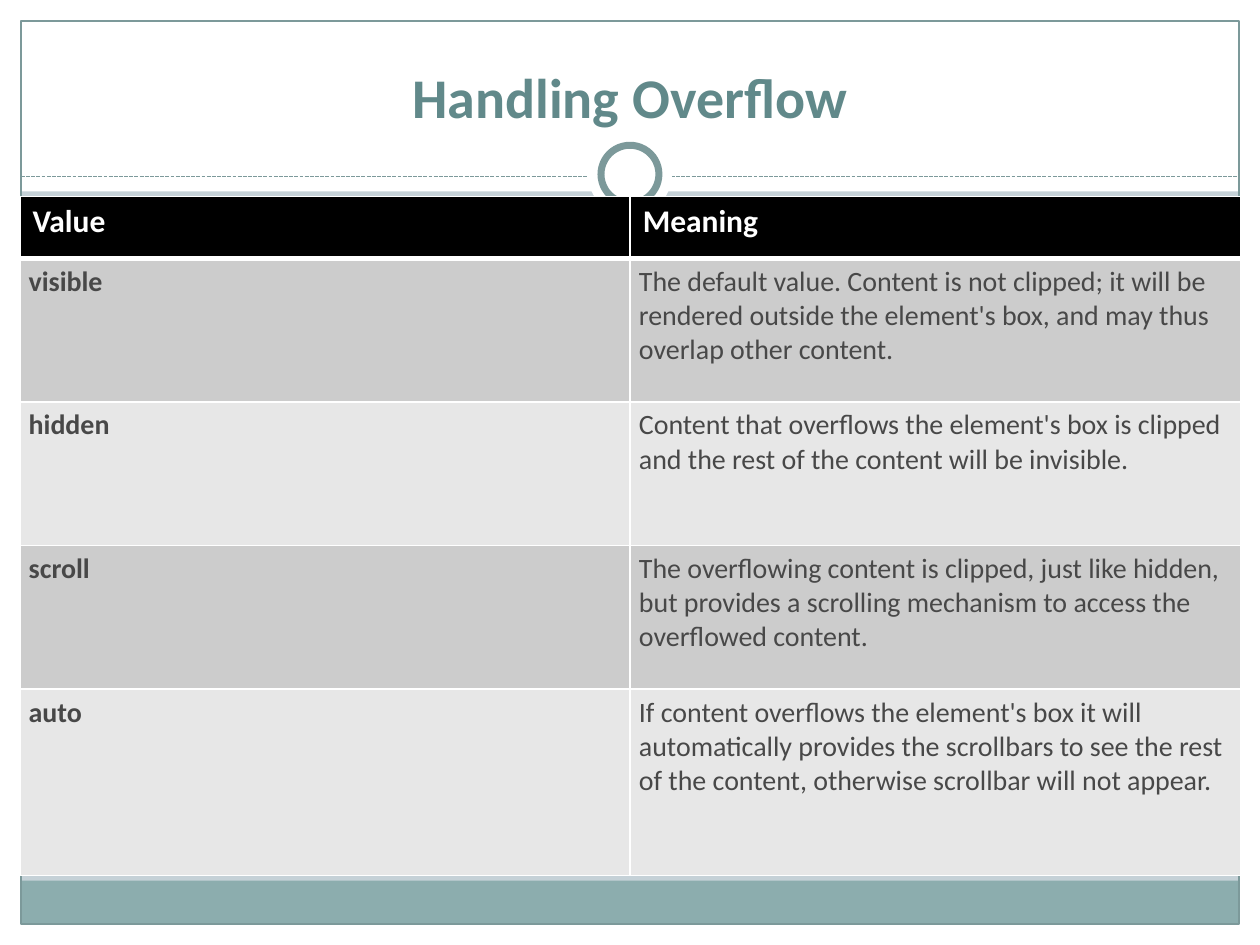
from lxml.etree import SubElement
from pptx import Presentation
from pptx.dml.color import RGBColor
from pptx.enum.dml import MSO_LINE
from pptx.enum.shapes import MSO_CONNECTOR, MSO_SHAPE
from pptx.enum.text import MSO_ANCHOR, MSO_AUTO_SIZE, PP_ALIGN
from pptx.oxml.ns import qn
from pptx.util import Inches, Pt

WHITE = RGBColor(0xFF, 0xFF, 0xFF)
BLACK = RGBColor(0x00, 0x00, 0x00)
PALE_BLUE = RGBColor(0xC5, 0xD1, 0xD7)
TEAL = RGBColor(0x8C, 0xAD, 0xAE)
LINE_TEAL = RGBColor(0x7C, 0x99, 0x9A)
TITLE_TEAL = RGBColor(0x61, 0x89, 0x8A)
TEXT_GREY = RGBColor(0x48, 0x48, 0x48)
BANDS = (RGBColor(0xCC, 0xCC, 0xCC), RGBColor(0xE7, 0xE7, 0xE7))

COLS, ROWS = 60, 45  # grid over the slide; the frame is one cell in

TABLE = [
    ("Value", "Meaning"),
    ("visible", "The default value. Content is not clipped; it will be rendered "
     "outside the element's box, and may thus overlap other content."),
    ("hidden", "Content that overflows the element's box is clipped and the rest "
     "of the content will be invisible."),
    ("scroll", "The overflowing content is clipped, just like hidden, but provides "
     "a scrolling mechanism to access the overflowed content."),
    ("auto", "If content overflows the element's box it will automatically provides "
     "the scrollbars to see the rest of the content, otherwise scrollbar will not "
     "appear."),
]


class SlideBuilder:
    font = "Calibri"

    def __init__(self, prs):
        self.cell_w = prs.slide_width / COLS
        self.cell_h = prs.slide_height / ROWS
        self.slide = prs.slides.add_slide(prs.slide_layouts[5])
        self.shapes = self.slide.shapes

    def x(self, cols):
        return round(cols * self.cell_w)

    def y(self, rows):
        return round(rows * self.cell_h)

    def box(self, left, top, width, height):
        return self.x(left), self.y(top), self.x(width), self.y(height)

    def background(self, color):
        fill = self.slide.background.fill
        fill.solid()
        fill.fore_color.rgb = color

    def style(self, r, size, color, bold):
        r.font.name, r.font.size = self.font, Pt(size)
        r.font.color.rgb, r.font.bold = color, bold

    def shape(self, kind, *box, fill=None, line=None, weight=0.75):
        s = self.shapes.add_shape(kind, *self.box(*box))
        s.shadow.inherit = False
        if fill is None:
            s.fill.background()
        else:
            s.fill.solid()
            s.fill.fore_color.rgb = fill
        if line is None:
            s.line.fill.background()
        else:
            s.line.color.rgb, s.line.width = line, Pt(weight)

    def rect(self, *box, **look):
        self.shape(MSO_SHAPE.RECTANGLE, *box, **look)

    def circle(self, cx, cy, size, **look):
        self.shape(MSO_SHAPE.OVAL, cx - size / 2, cy - size / 2, size, size, **look)

    def dashed_rule(self, left, right, row, color):
        s = self.shapes.add_connector(MSO_CONNECTOR.STRAIGHT, self.x(left),
                                      self.y(row), self.x(right), self.y(row))
        s.line.color.rgb, s.line.width = color, Pt(0.75)
        s.line.dash_style = MSO_LINE.SQUARE_DOT
        SubElement(s.element.spPr, qn("a:effectLst"))

    def title(self, text, *box):
        s = self.shapes.title
        s.left, s.top, s.width, s.height = self.box(*box)
        self.shapes.element.append(s.element)  # in front of the header panel
        tf = s.text_frame
        tf.text = text
        tf.auto_size = MSO_AUTO_SIZE.NONE
        tf.vertical_anchor = MSO_ANCHOR.BOTTOM
        p = tf.paragraphs[0]
        p.alignment = PP_ALIGN.CENTER
        self.style(p.runs[0], 32, TITLE_TEAL, True)

    def borders(self, cell, top, bottom):
        tc_pr = cell._tc.get_or_add_tcPr()
        for side, weight in (("L", 1), ("R", 1), ("T", top), ("B", bottom)):
            ln = SubElement(tc_pr, qn(f"a:ln{side}"), w=str(Pt(weight)))
            fill = SubElement(ln, qn("a:solidFill"))
            SubElement(fill, qn("a:srgbClr"), val=str(WHITE))

    def table(self, data, left, top, col_width, heights):
        n_cols = len(data[0])
        table = self.shapes.add_table(
            len(data), n_cols,
            *self.box(left, top, col_width * n_cols, sum(heights))).table
        for col in table.columns:
            col.width = self.x(col_width)
        for i, (texts, height) in enumerate(zip(data, heights)):
            table.rows[i].height = self.y(height)
            header = i == 0
            for j, text in enumerate(texts):
                cell = table.cell(i, j)
                cell.text = text
                self.borders(cell, 3 if i == 1 else 1, 3 if header else 1)
                cell.fill.solid()
                cell.fill.fore_color.rgb = BLACK if header else BANDS[(i - 1) % 2]
                r = cell.text_frame.paragraphs[0].runs[0]
                if header:
                    self.style(r, 18, WHITE, True)
                else:
                    cell.margin_left = cell.margin_right = Inches(0.07)
                    self.style(r, 16, TEXT_GREY, j == 0)


def main():
    prs = Presentation()
    prs.slide_width, prs.slide_height = Inches(10), Inches(7.5)
    b = SlideBuilder(prs)
    b.background(PALE_BLUE)

    # White margins and header panel
    b.rect(0, ROWS - 1, COLS, 1, fill=WHITE)
    b.rect(0, 0, COLS, 9.12, fill=WHITE)
    for left in (0, COLS - 1):
        b.rect(left, 0, 1, ROWS, fill=WHITE)

    # Footer band and frame
    b.rect(1, 41.94, COLS - 2, 2.06, fill=TEAL)
    b.rect(1, 1, COLS - 2, ROWS - 2, line=LINE_TEAL)

    # Dashed rule with the ring on it
    b.dashed_rule(1, COLS - 1, 8.4, LINE_TEAL)
    b.circle(COLS / 2, 8.3, 4, fill=WHITE)
    b.circle(COLS / 2, 8.3, 2.76, fill=WHITE, line=LINE_TEAL, weight=4)

    # Title and table
    b.title("Handling Overflow", 2, 1.5, COLS - 4, 5)
    b.table(TABLE, 0.95, 9.36, 29.06, [2.94, 6.84, 6.84, 6.84, 8.88])

    prs.save("out.pptx")


if __name__ == "__main__":
    main()
